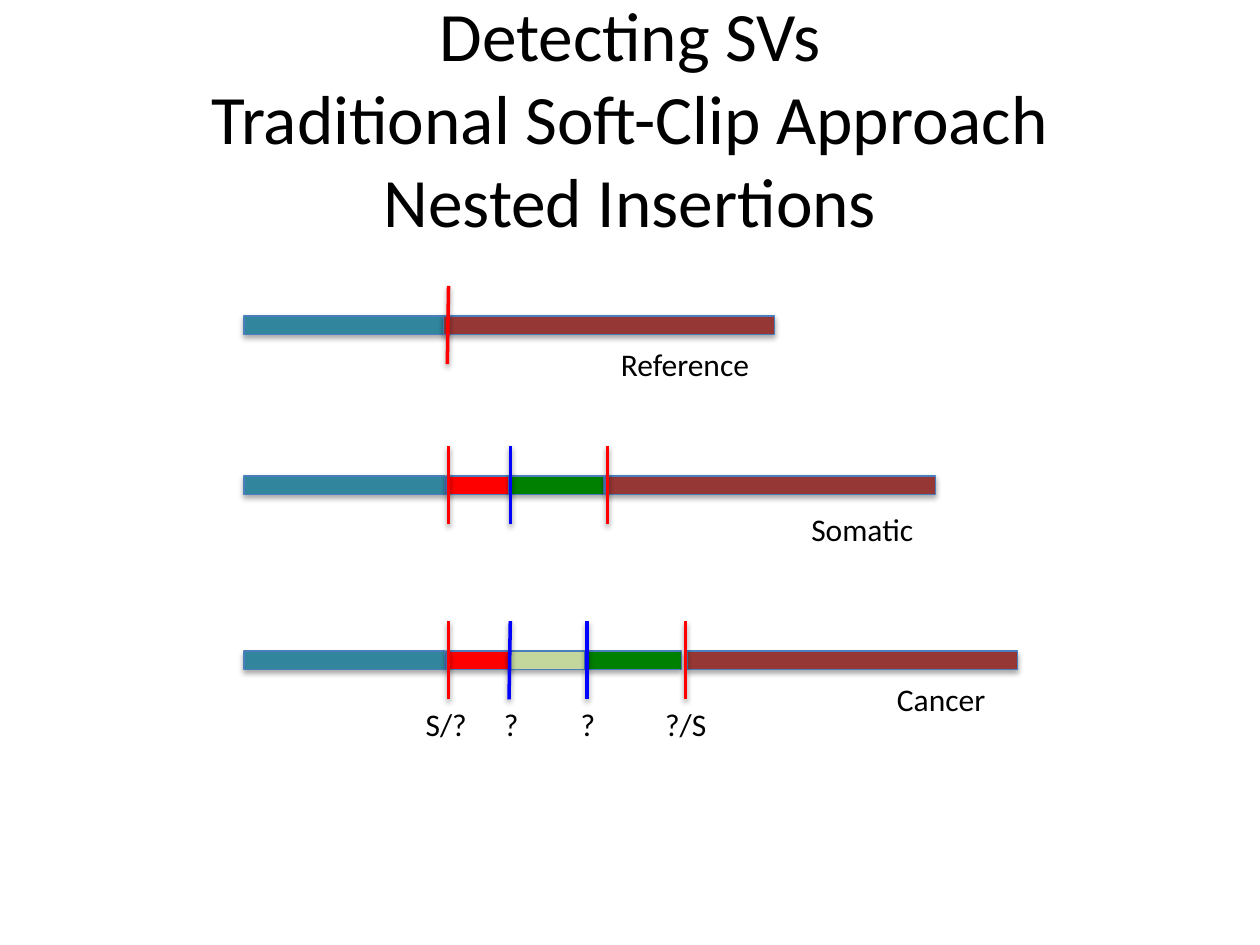
"""Build a slide on detecting nested insertions with the soft-clip approach."""
from pptx import Presentation
from pptx.dml.color import RGBColor
from pptx.enum.shapes import MSO_CONNECTOR, MSO_SHAPE
from pptx.enum.text import MSO_ANCHOR, MSO_AUTO_SIZE, PP_ALIGN
from pptx.util import Inches, Pt

BLACK = RGBColor(0x00, 0x00, 0x00)
TEAL = RGBColor(0x31, 0x85, 0x9C)
BROWN = RGBColor(0x95, 0x37, 0x35)
RED = RGBColor(0xFF, 0x00, 0x00)
GREEN = RGBColor(0x00, 0x80, 0x00)
LIGHT_GREEN = RGBColor(0xC3, 0xD6, 0x9B)
BLUE = RGBColor(0x00, 0x00, 0xFF)
OUTLINE = RGBColor(0x4B, 0x7E, 0xBC)

ROW_HEIGHT = 0.62
LABEL_HEIGHT = 0.4

GENOMES = [
    {
        "top": 2.27,
        "segments": [(1.65, 2.16, TEAL), (3.05, 3.57, BROWN)],
        "breakpoints": [(3.56, 3.55, RED)],
    },
    {
        "top": 3.54,
        "segments": [(1.65, 2.17, TEAL), (3.46, 0.67, RED),
                     (3.92, 1, GREEN), (4.33, 3.57, BROWN)],
        "breakpoints": [(3.56, 3.56, RED), (4.05, 4.05, BLUE), (4.82, 4.82, RED)],
    },
    {
        "top": 4.93,
        "segments": [(1.65, 2.17, TEAL), (3.46, 0.67, RED), (4.54, 1, GREEN),
                     (4.98, 3.57, BROWN), (3.94, 0.81, LIGHT_GREEN)],
        "breakpoints": [(3.56, 3.56, RED), (4.05, 4.04, BLUE),
                        (4.66, 4.66, BLUE), (5.44, 5.44, RED)],
    },
]

LABELS = [
    ("Reference", 4.83, 2.69, 1.23),
    ("Somatic", 6.34, 4, 1.02),
    ("Cancer", 7.02, 5.35, 0.91),
    ("S/?", 3.28, 5.55, 0.53),
    ("?", 3.9, 5.55, 0.32),
    ("?", 4.51, 5.55, 0.32),
    ("?/S", 5.18, 5.55, 0.53),
]


def format_text(paragraph, size):
    for name, value in {"name": "Calibri", "size": Pt(size)}.items():
        setattr(paragraph.font, name, value)
    paragraph.font.color.rgb = BLACK


presentation = Presentation()
presentation.slide_width = Inches(10)
presentation.slide_height = Inches(7.5)
slide = presentation.slides.add_slide(presentation.slide_layouts[5])

title = slide.shapes.title
title_place = {"left": 0.5, "top": 0.3, "width": 9, "height": 1.25}
for name, value in title_place.items():
    setattr(title, name, Inches(value))
title.text_frame.text = "Detecting SVs\vTraditional Soft-Clip Approach\vNested Insertions"
title.text_frame.auto_size = MSO_AUTO_SIZE.NONE
title.text_frame.vertical_anchor = MSO_ANCHOR.MIDDLE
title_paragraph = title.text_frame.paragraphs[0]
title_paragraph.alignment = PP_ALIGN.CENTER
format_text(title_paragraph, 39.6)

for genome in GENOMES:
    top = Inches(genome["top"])
    bottom = Inches(genome["top"] + ROW_HEIGHT)
    for left, width, color in genome["segments"]:
        segment = slide.shapes.add_shape(
            MSO_SHAPE.MATH_MINUS, Inches(left), top, Inches(width), Inches(ROW_HEIGHT))
        segment.fill.solid()
        segment.fill.fore_color.rgb = color
        segment.line.color.rgb = OUTLINE
        segment.line.width = Pt(0.75)
    for start, end, color in genome["breakpoints"]:
        breakpoint_line = slide.shapes.add_connector(
            MSO_CONNECTOR.STRAIGHT, Inches(start), top, Inches(end), bottom)
        breakpoint_line.line.color.rgb = color
        breakpoint_line.line.width = Pt(2)

for text, left, top, width in LABELS:
    label = slide.shapes.add_textbox(
        Inches(left), Inches(top), Inches(width), Inches(LABEL_HEIGHT))
    label.text_frame.text = text
    label.text_frame.word_wrap = False
    label.text_frame.auto_size = MSO_AUTO_SIZE.SHAPE_TO_FIT_TEXT
    format_text(label.text_frame.paragraphs[0], 18)

presentation.save("out.pptx")
